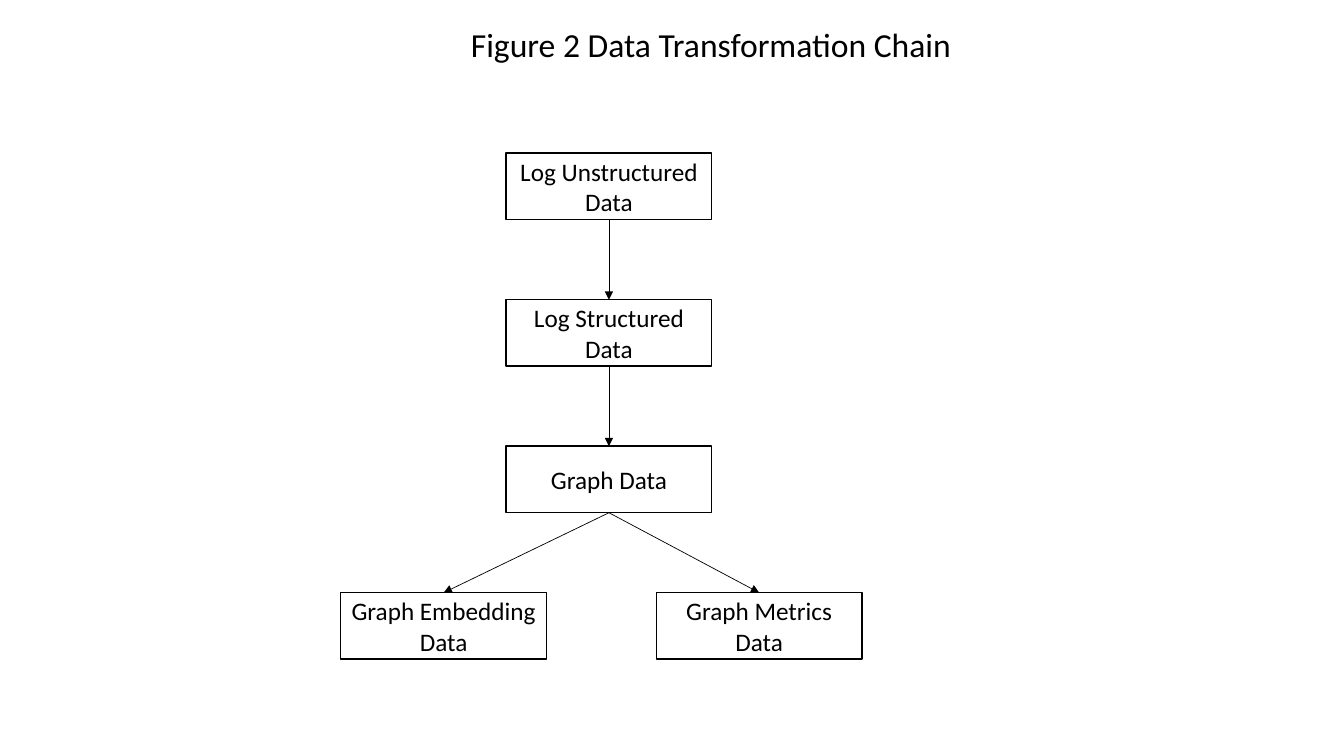
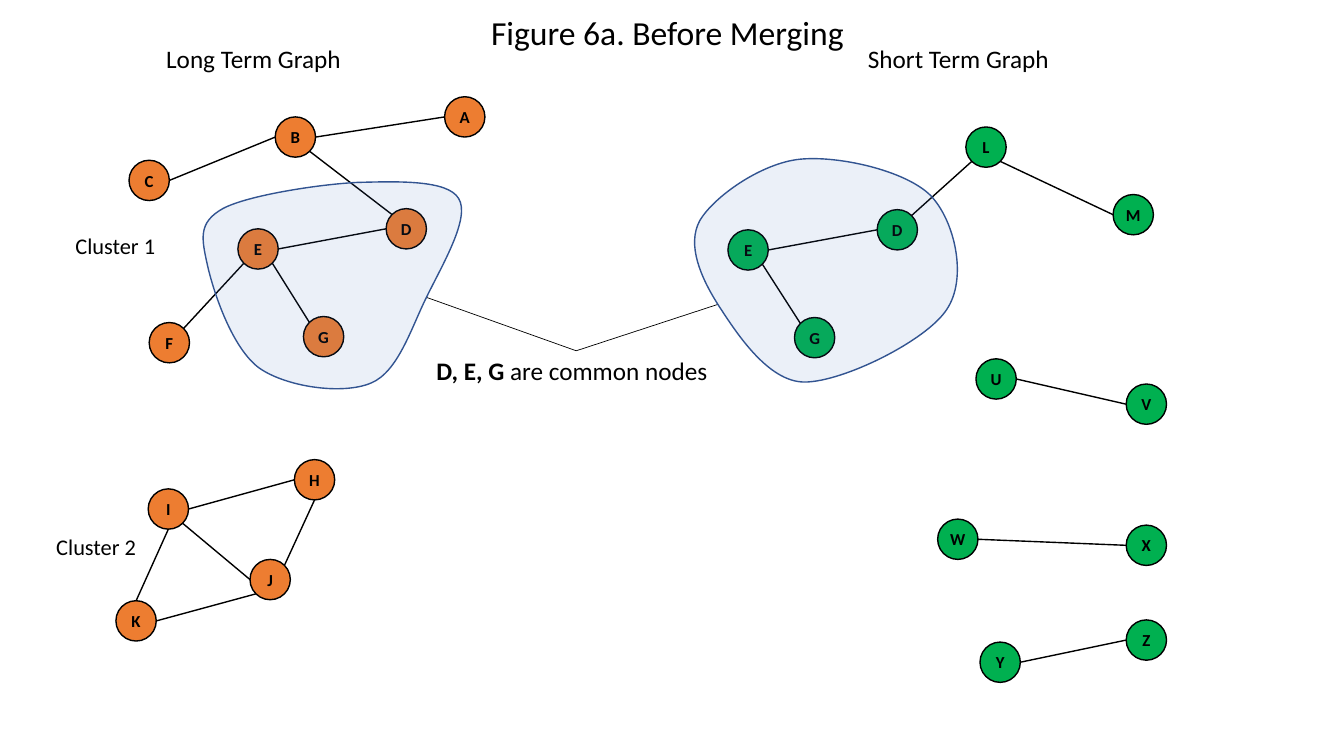
from lxml.etree import SubElement
from pptx import Presentation
from pptx.dml.color import RGBColor
from pptx.enum.shapes import MSO_CONNECTOR, MSO_SHAPE
from pptx.enum.text import MSO_ANCHOR, MSO_AUTO_SIZE, PP_ALIGN
from pptx.oxml.ns import qn
from pptx.util import Inches, Pt

FONT = "Calibri"
BLACK, WHITE = "000000", "FFFFFF"
ORANGE, GREEN = "ED7D31", "00B050"
REGION_FILL, REGION_LINE = "4472C4", "325491"

# Data chain: name -> (text, left, row)
STAGES = {
    "unstructured": ("Log Unstructured Data", 5.02, 0),
    "structured": ("Log Structured Data", 5.02, 1),
    "graph": ("Graph Data", 5.02, 2),
    "embedding": ("Graph Embedding Data", 3.38, 3),
    "metrics": ("Graph Metrics Data", 6.51, 3),
}
STAGE_LINKS = [("unstructured", "structured"), ("structured", "graph"),
               ("graph", "embedding"), ("graph", "metrics")]
STAGE_TOP, STAGE_LAST_TOP, STAGE_WIDTH, STAGE_HEIGHT = 1.52, 5.88, 2.04, 0.66
STAGE_PITCH = (STAGE_LAST_TOP - STAGE_TOP) / 3

# Graphs: node centres, and edges as (node, side, node, side)
RADIUS = 0.2
DIAGONAL = RADIUS * 0.5 ** 0.5
SIDES = {
    "N": (0, -RADIUS), "S": (0, RADIUS), "E": (RADIUS, 0), "W": (-RADIUS, 0),
    "NE": (DIAGONAL, -DIAGONAL), "NW": (-DIAGONAL, -DIAGONAL),
    "SE": (DIAGONAL, DIAGONAL), "SW": (-DIAGONAL, DIAGONAL),
}
GRAPHS = [
    {
        "color": ORANGE,
        "nodes": {
            "A": (4.61, 1.16), "B": (2.93, 1.36), "C": (1.48, 1.79),
            "D": (4.03, 2.27), "E": (2.56, 2.47), "F": (1.68, 3.4),
            "G": (3.21, 3.34), "H": (3.12, 4.76), "I": (1.67, 5.05),
            "J": (2.68, 5.75), "K": (1.35, 6.16),
        },
        "edges": [
            ("E", "E", "D", "W"), ("E", "SE", "G", "NW"),
            ("B", "SE", "D", "NW"), ("C", "E", "B", "W"),
            ("F", "NE", "E", "SW"), ("I", "E", "H", "W"),
            ("I", "SE", "J", "W"), ("J", "NE", "H", "S"),
            ("K", "N", "I", "S"), ("K", "E", "J", "SW"),
            ("B", "E", "A", "W"),
        ],
        "region_bounds": (2.02, 1.8, 2.56, 2.05),
        # Outline start, then two control points and an end per curve
        "region": [
            (4.23, 2.95),
            (4.38, 2.64), (4.67, 2.16), (4.55, 1.97),
            (4.44, 1.78), (3.93, 1.8), (3.54, 1.81),
            (3.15, 1.83), (2.45, 1.94), (2.21, 2.07),
            (1.96, 2.21), (2, 2.37), (2.06, 2.64),
            (2.12, 2.9), (2.3, 3.45), (2.57, 3.65),
            (2.84, 3.84), (3.4, 3.92), (3.68, 3.8),
            (3.95, 3.69), (4.08, 3.25), (4.23, 2.95),
        ],
    },
    {
        "color": GREEN,
        "nodes": {
            "D": (8.9, 2.28), "E": (7.42, 2.48), "G": (8.08, 3.35),
            "L": (9.78, 1.46), "M": (11.24, 2.13), "U": (9.88, 3.76),
            "V": (11.37, 4.01), "W": (9.5, 5.35), "X": (11.37, 5.41),
            "Y": (9.92, 6.57), "Z": (11.37, 6.35),
        },
        "edges": [
            ("D", "NE", "L", "SW"), ("L", "SE", "M", "W"),
            ("U", "E", "V", "W"), ("E", "E", "D", "W"),
            ("E", "SE", "G", "NW"), ("W", "E", "X", "W"),
            ("Y", "E", "Z", "W"),
        ],
        "region_bounds": (6.89, 1.57, 2.61, 2.22),
        "region": [
            (7.12, 3.02),
            (6.95, 2.75), (6.81, 2.43), (6.94, 2.19),
            (7.08, 1.95), (7.55, 1.62), (7.93, 1.58),
            (8.31, 1.54), (8.98, 1.69), (9.23, 1.94),
            (9.47, 2.19), (9.6, 2.76), (9.39, 3.07),
            (9.19, 3.38), (8.36, 3.79), (7.98, 3.79),
            (7.61, 3.79), (7.29, 3.28), (7.12, 3.02),
        ],
    },
]
# Text, size, left, top, width, height
LABELS = [
    ("Long Term Graph", 18, 1.55, 0.38, 1.96, 0.4),
    ("Short Term Graph", 18, 8.51, 0.38, 2.02, 0.4),
    ("Cluster 1", 16, 0.65, 2.25, 1, 0.37),
    ("Cluster 2", 16, 0.46, 5.24, 1, 0.37),
]


def rgb(value):
    return RGBColor.from_string(value)


def style_font(font, size, bold=False):
    font.name, font.size, font.bold = FONT, Pt(size), bold
    font.color.rgb = rgb(BLACK)


def paint(shape, fill, line):
    shape.shadow.inherit = False
    shape.fill.solid()
    shape.fill.fore_color.rgb = rgb(fill)
    shape.line.color.rgb = rgb(line)
    shape.line.width = Pt(1)


def place(shape, bounds):
    shape.left, shape.top, shape.width, shape.height = map(Inches, bounds)


def add_page(deck, title, left, top, width):
    page = deck.slides.add_slide(deck.slide_layouts[5])
    box = page.shapes.title
    place(box, (left, top, width, 0.5))
    frame = box.text_frame
    frame.text = title
    frame.word_wrap = False
    frame.auto_size = MSO_AUTO_SIZE.NONE
    frame.vertical_anchor = MSO_ANCHOR.TOP
    para = frame.paragraphs[0]
    para.alignment = PP_ALIGN.LEFT
    style_font(para.font, 24)
    return page


def add_label(page, text, size, left, top, width, height):
    box = page.shapes.add_textbox(*map(Inches, (left, top, width, height)))
    frame = box.text_frame
    frame.word_wrap = False
    frame.auto_size = MSO_AUTO_SIZE.SHAPE_TO_FIT_TEXT
    para = frame.paragraphs[0]
    para.text = text
    style_font(para.font, size)
    return box


def add_block(page, kind, text, size, fill, bounds, bold=False):
    """Add an outlined shape with centred text."""
    block = page.shapes.add_shape(kind, *map(Inches, bounds))
    paint(block, fill, BLACK)
    frame = block.text_frame
    frame.word_wrap = True
    frame.vertical_anchor = MSO_ANCHOR.MIDDLE
    para = frame.paragraphs[0]
    para.text = text
    para.alignment = PP_ALIGN.CENTER
    style_font(para.font, size, bold)
    return block


def add_line(page, start=(0, 0), end=(0, 0), width=1.0):
    line = page.shapes.add_connector(
        MSO_CONNECTOR.STRAIGHT, *map(Inches, (*start, *end)))
    line.line.color.rgb = rgb(BLACK)
    line.line.width = Pt(width)
    SubElement(line.element.spPr, qn("a:effectLst"))
    return line


def add_arrow(page, source, target):
    arrow = add_line(page, width=0.5)
    arrow.begin_connect(source, 2)
    arrow.end_connect(target, 0)
    outline = arrow.element.spPr.find(qn("a:ln"))
    SubElement(outline, qn("a:tailEnd"), type="triangle")


def curve_outline(shape, points, bounds):
    """Turn a freeform's outline into a closed chain of cubic curves."""
    place(shape, bounds)
    left, top, width, height = map(Inches, bounds)
    outline = next(shape.element.spPr.iter(qn("a:path")))
    for command in list(outline):
        outline.remove(command)
    outline.set("w", str(width))
    outline.set("h", str(height))
    groups = [points[:1]] + [points[i:i + 3] for i in range(1, len(points), 3)]
    for group in groups:
        tag = "a:moveTo" if len(group) == 1 else "a:cubicBezTo"
        command = SubElement(outline, qn(tag))
        for x, y in group:
            SubElement(command, qn("a:pt"),
                       x=str(Inches(x) - left), y=str(Inches(y) - top))
    SubElement(outline, qn("a:close"))


def add_region(page, points, bounds):
    anchors = [(Inches(x), Inches(y)) for x, y in points[::3]]
    builder = page.shapes.build_freeform(*anchors[0])
    builder.add_line_segments(anchors[1:-1], close=True)
    region = builder.convert_to_shape()
    curve_outline(region, points, bounds)
    paint(region, REGION_FILL, REGION_LINE)
    color = region.element.spPr.find(f"{qn('a:solidFill')}/{qn('a:srgbClr')}")
    SubElement(color, qn("a:alpha"), val="10000")


def add_graph(page, graph):
    nodes = graph["nodes"]
    for name, (x, y) in nodes.items():
        bounds = (x - RADIUS, y - RADIUS, 2 * RADIUS, 2 * RADIUS)
        node = add_block(page, MSO_SHAPE.OVAL, name, 12, graph["color"], bounds, True)
        frame = node.text_frame
        frame.margin_left = frame.margin_right = 0
        frame.margin_top = frame.margin_bottom = 0
    for source, source_side, target, target_side in graph["edges"]:
        ends = [
            [centre + offset for centre, offset in zip(nodes[name], SIDES[side])]
            for name, side in ((source, source_side), (target, target_side))]
        add_line(page, *ends)


def add_common_note(page):
    note = add_label(page, "", 18, 4.23, 3.48, 2.97, 0.4)
    para = note.text_frame.paragraphs[0]
    for text, bold in (("D, E, G ", True), ("are common nodes", False)):
        span = para.add_run()
        span.text = text
        span.font.bold = bold
    for graph in GRAPHS:
        add_line(page, start=graph["region"][0], width=0.5).end_connect(note, 0)


def build_chain(deck):
    page = add_page(deck, "Figure 2 Data Transformation Chain", 4.57, 0.19, 5.01)
    blocks = {}
    for name, (text, left, row) in STAGES.items():
        bounds = (left, STAGE_TOP + row * STAGE_PITCH, STAGE_WIDTH, STAGE_HEIGHT)
        blocks[name] = add_block(page, MSO_SHAPE.RECTANGLE, text, 18, WHITE, bounds)
    for source, target in STAGE_LINKS:
        add_arrow(page, blocks[source], blocks[target])


def build_graphs(deck):
    page = add_page(deck, "Figure 6a. Before Merging", 4.77, 0.07, 3.73)
    for label in LABELS:
        add_label(page, *label)
    for graph in GRAPHS:
        add_graph(page, graph)
    add_common_note(page)
    for graph in GRAPHS:
        add_region(page, graph["region"], graph["region_bounds"])


def main():
    deck = Presentation()
    deck.slide_width, deck.slide_height = Inches(13.33), Inches(7.5)
    build_chain(deck)
    build_graphs(deck)
    deck.save("out.pptx")


if __name__ == "__main__":
    main()
